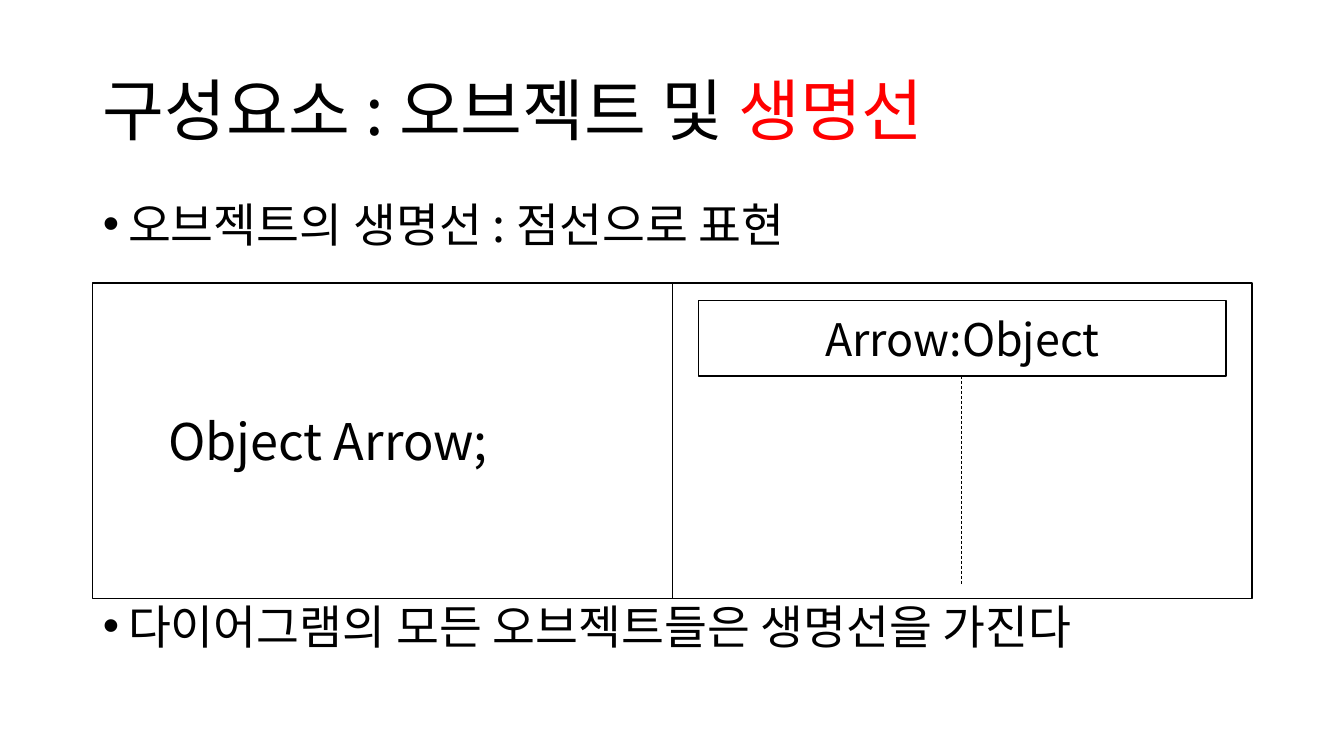
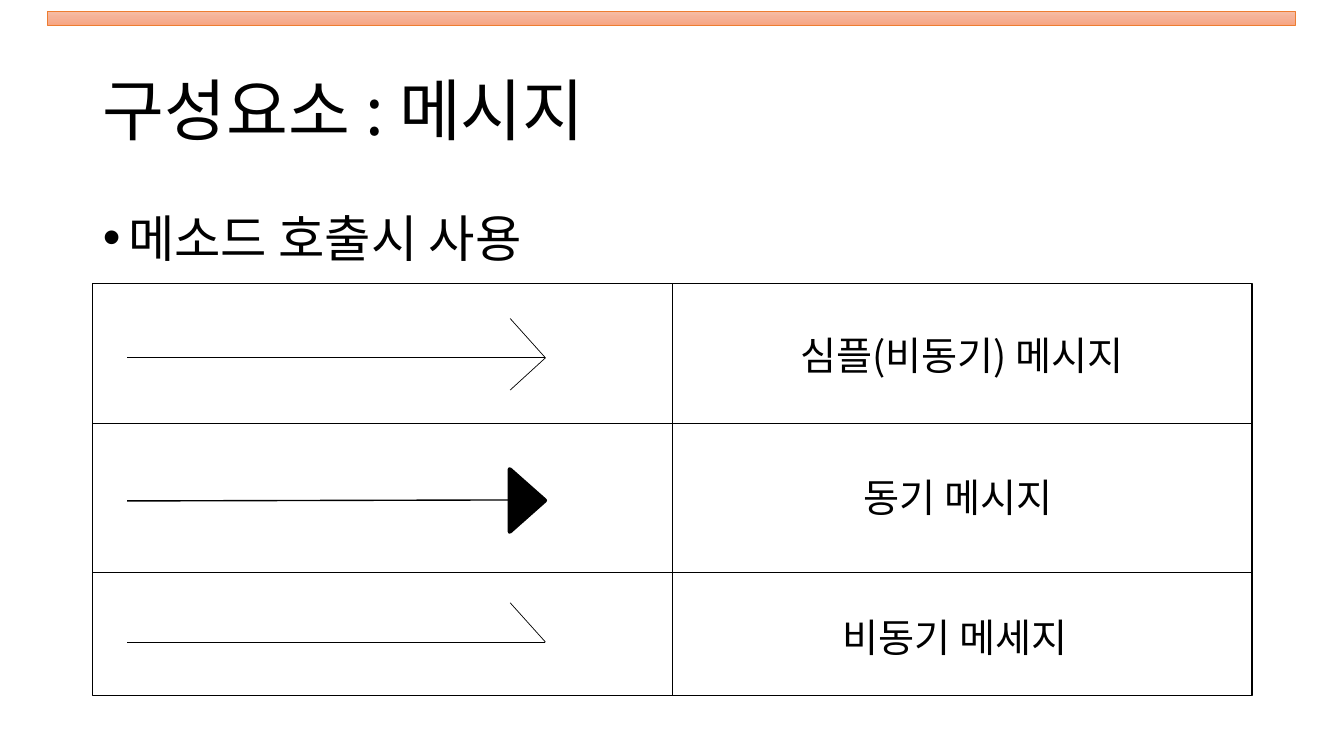
from lxml.etree import SubElement
from pptx import Presentation
from pptx.dml.color import RGBColor
from pptx.enum.dml import MSO_LINE
from pptx.enum.shapes import MSO_CONNECTOR, MSO_SHAPE
from pptx.enum.text import MSO_ANCHOR, MSO_AUTO_SIZE, PP_ALIGN
from pptx.oxml.ns import qn
from pptx.util import Inches, Pt

FONT = "Noto Sans CJK KR"
BLACK = RGBColor(0x00, 0x00, 0x00)
WHITE = RGBColor(0xFF, 0xFF, 0xFF)
RED = RGBColor(0xFF, 0x00, 0x00)
ORANGE = RGBColor(0xED, 0x7D, 0x31)
BAND_STOPS = (
    (0, RGBColor(0xF7, 0xBD, 0xA5)),
    (50, RGBColor(0xF5, 0xB1, 0x96)),
    (100, RGBColor(0xF8, 0xA5, 0x82)),
)

LEFT, TOP, WIDTH = 0.92, 2.81, 11.5
RIGHT, MIDDLE = LEFT + WIDTH, LEFT + WIDTH / 2
TITLE_AREA = (LEFT, 0.4, WIDTH, 1.45)
BODY_AREA = (LEFT, 2, WIDTH, 4.76)
ARROW_START, ARROW_TIP, HEAD_START = 1.26, 5.41, 5.06

TITLE_FRAME = {
    "vertical_anchor": MSO_ANCHOR.MIDDLE,
    "auto_size": MSO_AUTO_SIZE.NONE,
    "word_wrap": True,
}
BODY_FRAME = {**TITLE_FRAME, "vertical_anchor": MSO_ANCHOR.TOP}
LABEL_FRAME = {"auto_size": MSO_AUTO_SIZE.SHAPE_TO_FIT_TEXT, "word_wrap": True}
TITLE_PARA = {"alignment": PP_ALIGN.LEFT, "line_spacing": 0.9}


def set_format(target, values):
    for name, value in values.items():
        setattr(target, name, value)


def place(item, area):
    names = ("left", "top", "width", "height")
    set_format(item, dict(zip(names, map(Inches, area))))


def add_span(para, text, size, color=BLACK):
    span = para.add_run()
    span.text = text
    set_format(span.font, {"name": FONT, "size": Pt(size)})
    span.font.color.rgb = color
    east_asian = SubElement(span.font._element, qn("a:ea"))
    east_asian.set("typeface", FONT)


def add_title(page, *spans):
    title = page.shapes.title
    place(title, TITLE_AREA)
    set_format(title.text_frame, TITLE_FRAME)
    para = title.text_frame.paragraphs[0]
    set_format(para, TITLE_PARA)
    for text, color in spans:
        add_span(para, text, 48, color)


def set_bullet(para):
    properties = para._p.get_or_add_pPr()
    properties.set("marL", str(Inches(0.25)))
    properties.set("indent", str(Inches(-0.25)))
    SubElement(properties, qn("a:buFont")).set("typeface", "Arial")
    SubElement(properties, qn("a:buChar")).set("char", "•")


def add_bullets(page, items, size, line_spacing):
    body = page.placeholders[1]
    place(body, BODY_AREA)
    frame = body.text_frame
    set_format(frame, BODY_FRAME)
    for index, (text, space) in enumerate(items):
        para = frame.add_paragraph() if index else frame.paragraphs[0]
        set_format(para, {"line_spacing": line_spacing, "space_before": Pt(space)})
        set_bullet(para)
        add_span(para, text, size)


def add_box(shapes, area, kind=MSO_SHAPE.RECTANGLE, fill=WHITE, line=BLACK, weight=1):
    box = shapes.add_shape(kind, *map(Inches, area))
    box.shadow.inherit = False
    box.fill.solid()
    box.fill.fore_color.rgb = fill
    box.line.color.rgb = line
    box.line.width = Pt(weight)
    return box


def add_line(shapes, start, end, weight=0.5, dash=None):
    line = shapes.add_connector(MSO_CONNECTOR.STRAIGHT, *map(Inches, start + end))
    line.line.color.rgb = BLACK
    set_format(line.line, {"width": Pt(weight), "dash_style": dash})
    SubElement(line._element.spPr, qn("a:effectLst"))


def add_label(page, area, text, size):
    label = page.shapes.add_textbox(*map(Inches, area))
    set_format(label.text_frame, LABEL_FRAME)
    add_span(label.text_frame.paragraphs[0], text, size)


def add_grid(page, bottom, rows=()):
    add_box(page.shapes, (LEFT, TOP, WIDTH, bottom - TOP))
    add_line(page.shapes, (MIDDLE, TOP), (MIDDLE, bottom))
    for row in rows:
        add_line(page.shapes, (LEFT, row), (RIGHT, row))


def add_band(page):
    band = add_box(page.shapes, (0.47, 0.11, 12.38, 0.14), line=ORANGE, weight=0.5)
    band.fill.gradient()
    band.fill.gradient_angle = 270
    stops = band._element.spPr.find(qn("a:gradFill")).find(qn("a:gsLst"))
    for stop in list(stops):
        stops.remove(stop)
    for position, color in BAND_STOPS:
        stop = SubElement(stops, qn("a:gs"), pos=str(position * 1000))
        SubElement(stop, qn("a:srgbClr"), val=str(color))


def add_open_arrow(page, y, wing_offsets):
    group = page.shapes.add_group_shape()
    for offset in wing_offsets:
        add_line(group.shapes, (ARROW_TIP, y), (HEAD_START, y + offset))
    add_line(group.shapes, (ARROW_TIP, y), (ARROW_START, y))


def add_solid_arrow(page, y):
    group = page.shapes.add_group_shape()
    area = (4.92, y - 0.17, 0.62, 0.35)
    head = add_box(group.shapes, area, MSO_SHAPE.ISOSCELES_TRIANGLE, BLACK, weight=3)
    head.rotation = 90
    add_line(group.shapes, (HEAD_START, y), (ARROW_START, y + 0.01), 1)


def add_lifeline_page(deck):
    page = deck.slides.add_slide(deck.slide_layouts[1])
    add_title(page, ("구성요소 : 오브젝트 및 ", BLACK), ("생명선", RED))
    bullets = (
        ("오브젝트의 생명선 : 점선으로 표현", 10),
        ("다이어그램의 모든 오브젝트들은 생명선을 가진다", 255),
    )
    add_bullets(page, bullets, 33.3, 0.8)
    add_grid(page, 5.94)
    add_label(page, (1.57, 4.02, 4.44, 0.71), "Object Arrow;", 36)
    participant = add_box(page.shapes, (6.93, 2.98, 5.23, 0.75))
    participant.text_frame.vertical_anchor = MSO_ANCHOR.MIDDLE
    para = participant.text_frame.paragraphs[0]
    para.alignment = PP_ALIGN.CENTER
    add_span(para, "Arrow:Object", 32)
    add_line(page.shapes, (9.54, 3.73), (9.54, 5.81), dash=MSO_LINE.DASH)


def add_message_page(deck):
    page = deck.slides.add_slide(deck.slide_layouts[1])
    add_title(page, ("구성요소 : 메시지", BLACK))
    add_bullets(page, (("메소드 호출시 사용", 10),), 36, 1.0)
    add_band(page)
    add_grid(page, 6.9, (4.2, 5.68))
    add_open_arrow(page, 3.55, (-0.39, 0.32))
    add_solid_arrow(page, 4.96)
    add_open_arrow(page, 6.37, (-0.39,))
    labels = (
        (7.84, 3.24, 4.12, "심플(비동기) 메시지"),
        (8.47, 4.65, 2.54, "동기 메시지"),
        (8.26, 6.04, 2.9, "비동기 메세지"),
    )
    for left, top, width, text in labels:
        add_label(page, (left, top, width, 0.57), text, 28)


def main():
    deck = Presentation()
    set_format(deck, {"slide_width": Inches(13.33), "slide_height": Inches(7.5)})
    add_lifeline_page(deck)
    add_message_page(deck)
    deck.save("out.pptx")


if __name__ == "__main__":
    main()
